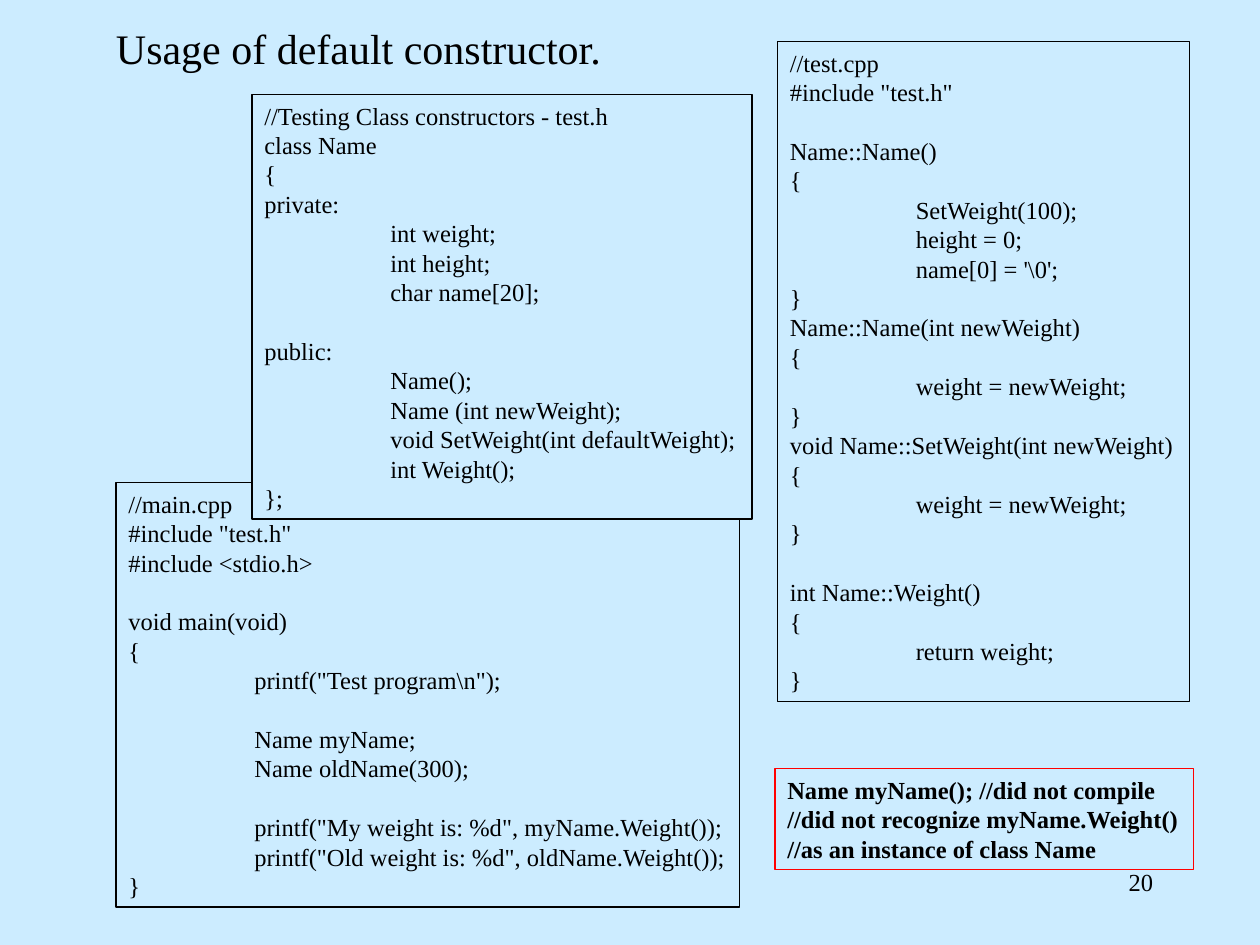
"""Build a slide on the usage of a default constructor in C++."""
from lxml.etree import SubElement
from pptx import Presentation
from pptx.dml.color import RGBColor
from pptx.enum.text import MSO_ANCHOR, MSO_AUTO_SIZE, PP_ALIGN
from pptx.oxml.ns import qn
from pptx.util import Inches, Pt

COLORS = {"background": "CCECFF", "text": "000000", "warning": "FF0000"}
FONT = "Times New Roman"
CODE_SIZE = 14
LINE_RATIO = 1.2

TITLE = "Usage of default constructor."
PAGE_NUMBER = "20"

MAIN_CODE = r"""//main.cpp
#include "test.h"
#include <stdio.h>

void main(void)
{
	printf("Test program\n");

	Name myName;
	Name oldName(300);

	printf("My weight is: %d", myName.Weight());
	printf("Old weight is: %d", oldName.Weight());
}"""

CLASS_CODE = r"""//test.cpp
#include "test.h"

Name::Name()
{
	SetWeight(100);
	height = 0;
	name[0] = '\0';
}
Name::Name(int newWeight)
{
	weight = newWeight;
}
void Name::SetWeight(int newWeight)
{
	weight = newWeight;
}

int Name::Weight()
{
	return weight;
}"""

WARNING_CODE = """Name myName(); //did not compile
//did not recognize myName.Weight()
//as an instance of class Name"""

HEADER_CODE = """//Testing Class constructors - test.h
class Name
{
private:
	int weight;
	int height;
	char name[20];

public:
	Name();
	Name (int newWeight);
	void SetWeight(int defaultWeight);
	int Weight();
};"""

CODE_BOXES = [
    {"code": MAIN_CODE, "place": (0.92, 3.83, 4.95, 3.37)},
    {"code": CLASS_CODE, "place": (6.17, 0.33, 3.27, 5.24)},
    {"code": WARNING_CODE, "place": (6.15, 6.1, 3.32, 0.8), "line": "warning", "bold": True},
    {"code": HEADER_CODE, "place": (2, 0.75, 3.97, 3.37), "fill": "background"},
]


def color(name):
    return RGBColor.from_string(COLORS[name])


def place_shape(shape, place):
    shape.left, shape.top, shape.width, shape.height = map(Inches, place)


def format_paragraph(paragraph, size, bold=False, alignment=PP_ALIGN.LEFT):
    paragraph.alignment = alignment
    paragraph.line_spacing = Pt(size * LINE_RATIO)
    for run in paragraph.runs:
        run.font.name = FONT
        run.font.size = Pt(size)
        run.font.bold = bold
        run.font.color.rgb = color("text")


def add_tab_stop(paragraph):
    tab_list = SubElement(paragraph._p.get_or_add_pPr(), qn("a:tabLst"))
    SubElement(tab_list, qn("a:tab"), pos=str(Inches(1)), algn="l")


def add_code_box(slide, code, place, line="text", fill=None, bold=False):
    box = slide.shapes.add_textbox(*map(Inches, place))
    box.line.color.rgb = color(line)
    box.line.width = Pt(0.75)
    if fill:
        box.fill.solid()
        box.fill.fore_color.rgb = color(fill)
    frame = box.text_frame
    frame.word_wrap = False
    frame.auto_size = MSO_AUTO_SIZE.SHAPE_TO_FIT_TEXT
    paragraph = None
    after_gap = False
    for code_line in code.splitlines():
        if not code_line:
            after_gap = True
            continue
        paragraph = frame.add_paragraph() if paragraph else frame.paragraphs[0]
        paragraph.text = code_line
        add_tab_stop(paragraph)
        format_paragraph(paragraph, CODE_SIZE, bold)
        if after_gap:
            paragraph.space_before = Pt(CODE_SIZE * LINE_RATIO)
        after_gap = False


def main():
    presentation = Presentation()
    presentation.slide_width, presentation.slide_height = Inches(10), Inches(7.5)
    slide = presentation.slides.add_slide(presentation.slide_layouts[5])
    slide.background.fill.solid()
    slide.background.fill.fore_color.rgb = color("background")

    for box in CODE_BOXES:
        add_code_box(slide, **box)

    title = slide.shapes.title
    place_shape(title, (0.82, 0.13, 4.07, 0.5))
    title.text_frame.text = TITLE
    title.text_frame.word_wrap = False
    title.text_frame.auto_size = MSO_AUTO_SIZE.NONE
    title.text_frame.vertical_anchor = MSO_ANCHOR.TOP
    format_paragraph(title.text_frame.paragraphs[0], 24)

    number = slide.shapes.add_textbox(*map(Inches, (7.17, 6.83, 2.08, 0.5)))
    number.text_frame.word_wrap = True
    number.text_frame.text = PAGE_NUMBER
    format_paragraph(number.text_frame.paragraphs[0], CODE_SIZE, alignment=PP_ALIGN.RIGHT)

    presentation.save("out.pptx")


if __name__ == "__main__":
    main()
